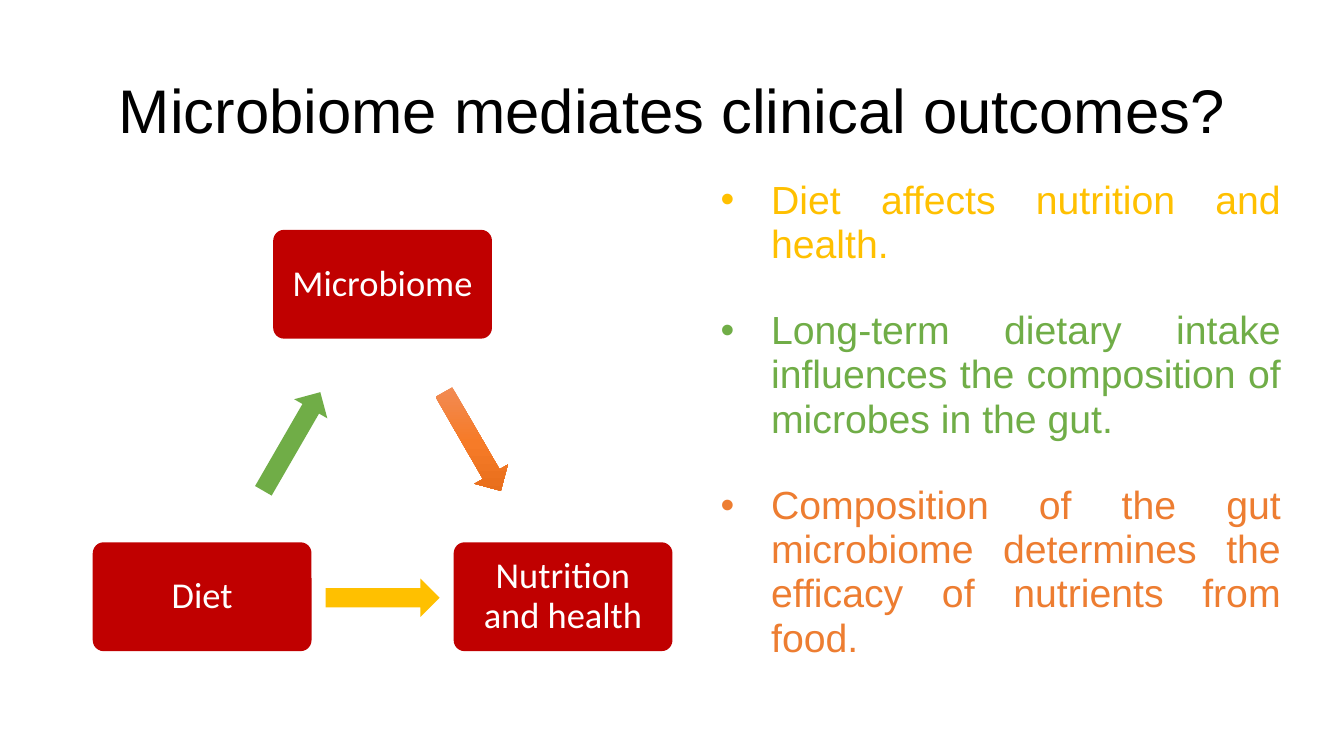
from copy import deepcopy
from dataclasses import dataclass

from lxml import etree
from pptx import Presentation
from pptx.dml.color import RGBColor
from pptx.enum.shapes import MSO_SHAPE
from pptx.enum.text import MSO_ANCHOR, PP_ALIGN
from pptx.oxml.ns import qn
from pptx.util import Inches, Pt

ROUND = MSO_SHAPE.ROUNDED_RECTANGLE
ARROW = MSO_SHAPE.RIGHT_ARROW
CENTER = PP_ALIGN.CENTER
JUSTIFY = PP_ALIGN.JUSTIFY
MIDDLE = MSO_ANCHOR.MIDDLE


@dataclass(frozen=True)
class Theme:
    body: str = "Arial"
    label: str = "Calibri"
    title_size: int = 44
    list_size: int = 28
    label_size: int = 26
    black: str = "000000"
    white: str = "FFFFFF"
    red: str = "C00000"
    gold: str = "FFC000"
    green: str = "70AD47"
    orange: str = "ED7D31"
    blend: tuple = ("F18C57", "F67B28", "E56C19")


class Page:
    def __init__(self, slide, theme):
        self.slide = slide
        self.theme = theme

    def style(self, para, text, font, size, color, align, spacing=0.9):
        para.text = text
        para.alignment = align
        para.line_spacing = spacing
        para.font.name = font
        para.font.size = Pt(size)
        para.font.color.rgb = RGBColor.from_string(color)

    def frame(self, left, top, width, height):
        box = self.slide.shapes.add_textbox(
            Inches(left), Inches(top), Inches(width), Inches(height))
        frame = box.text_frame
        frame.word_wrap = True
        frame.vertical_anchor = MIDDLE
        return frame

    def shape(self, kind, left, top, width, height):
        shape = self.slide.shapes.add_shape(
            kind, Inches(left), Inches(top), Inches(width), Inches(height))
        shape.shadow.inherit = False
        shape.line.fill.background()
        return shape

    def paint(self, shape, color):
        shape.fill.solid()
        shape.fill.fore_color.rgb = RGBColor.from_string(color)

    def title(self, text):
        t = self.theme
        frame = self.frame(0.92, 0.4, 11.5, 1.45)
        self.style(frame.paragraphs[0], text, t.body, t.title_size, t.black, CENTER)

    def node(self, text, left, top):
        t = self.theme
        box = self.shape(ROUND, left, top, 2.17, 1.08)
        box.adjustments[0] = 0.1
        self.paint(box, t.red)
        frame = box.text_frame
        frame.word_wrap = True
        frame.vertical_anchor = MIDDLE
        frame.margin_left = frame.margin_right = Inches(0.14)
        frame.margin_top = frame.margin_bottom = Inches(0.14)
        self.style(frame.paragraphs[0], text, t.label, t.label_size, t.white, CENTER)

    def arrow(self, left, top, turn, color):
        arrow = self.shape(ARROW, left, top, 1.13, 0.38)
        arrow.rotation = turn
        if isinstance(color, str):
            self.paint(arrow, color)
        else:
            self.shade(arrow, color)

    def shade(self, shape, colors):
        fill = shape.fill
        fill.gradient()
        fill.gradient_angle = 270
        # Keep the blend upright and add a middle stop
        grad = shape.element.spPr.find(qn("a:gradFill"))
        grad.set("rotWithShape", "0")
        stops = grad.find(qn("a:gsLst"))
        stops.insert(1, deepcopy(stops[0]))
        for i, (stop, color) in enumerate(zip(fill.gradient_stops, colors)):
            stop.position = i / (len(colors) - 1)
            stop.color.rgb = RGBColor.from_string(color)

    def bullets(self, items):
        t = self.theme
        frame = self.frame(7.05, 1.57, 5.75, 5.19)
        for i, (text, color) in enumerate(items):
            para = frame.add_paragraph() if i else frame.paragraphs[0]
            props = para._p.get_or_add_pPr()
            props.set("marL", str(Inches(0.5)))
            props.set("indent", str(-Inches(0.5)))
            etree.SubElement(props, qn("a:buFont")).set("typeface", t.body)
            etree.SubElement(props, qn("a:buChar")).set("char", "•")
            self.style(para, text, t.body, t.list_size, color, JUSTIFY, 0.94)
            if i:
                para.space_before = Pt(30)


def main():
    deck = Presentation()
    deck.slide_width = Inches(13.33)
    deck.slide_height = Inches(7.5)
    theme = Theme()
    page = Page(deck.slides.add_slide(deck.slide_layouts[6]), theme)

    page.title("Microbiome mediates clinical outcomes?")

    # Triangle of causes
    page.node("Microbiome", 2.71, 2.28)
    page.node("Nutrition and health", 4.5, 5.38)
    page.node("Diet", 0.92, 5.38)
    page.arrow(4.12, 4.19, 60, theme.blend)
    page.arrow(3.23, 5.74, 0, theme.gold)
    page.arrow(2.33, 4.19, 300, theme.green)

    # Claims, coloured like their arrows
    page.bullets([
        ("Diet affects nutrition and health.", theme.gold),
        ("Long-term dietary intake influences the composition of "
         "microbes in the gut.", theme.green),
        ("Composition of the gut microbiome determines the efficacy of "
         "nutrients from food.", theme.orange),
    ])
    deck.save("out.pptx")


if __name__ == "__main__":
    main()
